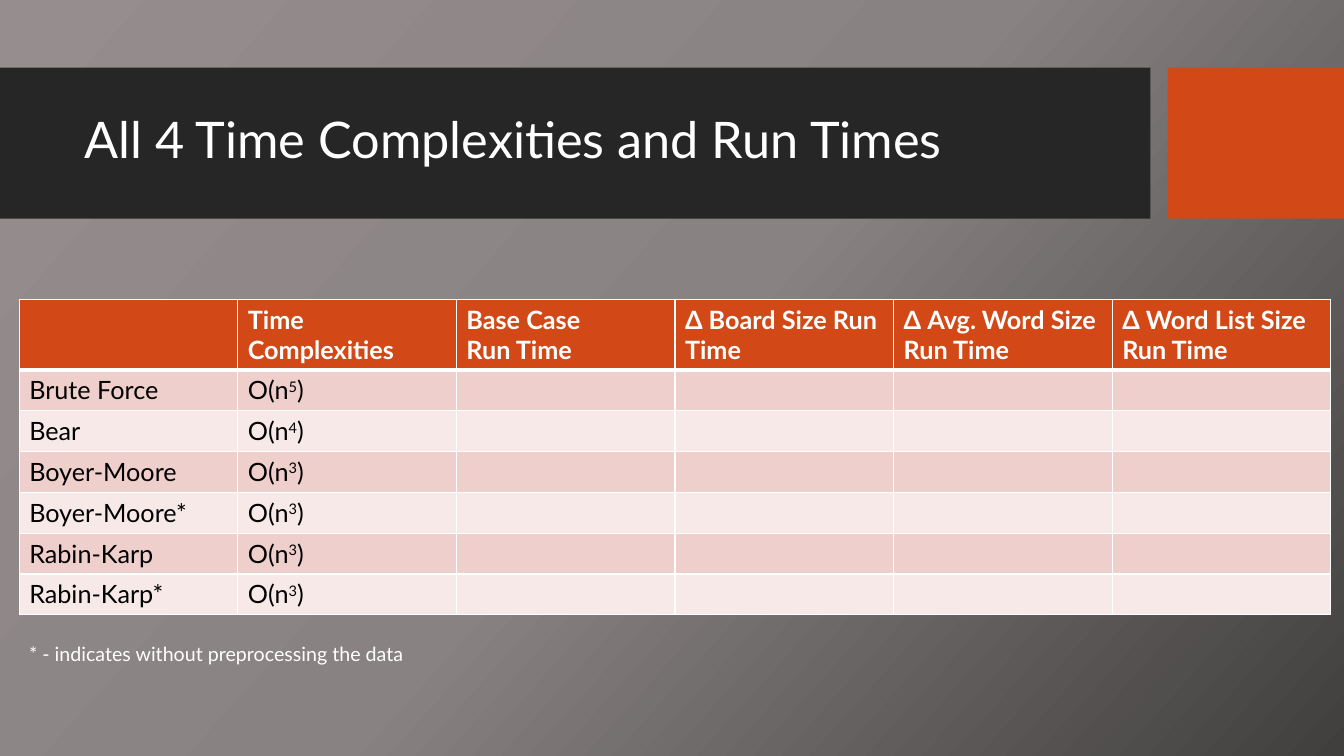
from copy import deepcopy

from lxml import etree
from pptx import Presentation
from pptx.dml.color import RGBColor
from pptx.enum.shapes import MSO_SHAPE
from pptx.enum.text import MSO_ANCHOR
from pptx.oxml.ns import qn
from pptx.util import Inches, Pt

RECT = MSO_SHAPE.RECTANGLE
TOP, MIDDLE = MSO_ANCHOR.TOP, MSO_ANCHOR.MIDDLE
FONT = "Lato"
COLORS = {
    "band": "262626",
    "accent": "D34817",
    "white": "FFFFFF",
    "black": "000000",
    "row_dark": "EFCFCC",
    "row_light": "F7E9E8",
}
BACKGROUND = [(0, "968E8E"), (0.5, "898282"), (1, "413E3E")]
SLIDE_W, SLIDE_H = 13.33, 7.5
HEADERS = [
    [],
    ["Time Complexities"],
    ["Base Case", "Run Time"],
    ["Δ Board Size Run Time"],
    ["Δ Avg. Word Size Run Time"],
    ["Δ Word List Size Run Time"],
]
ALGORITHMS = [
    ("Brute Force", "5"),
    ("Bear", "4"),
    ("Boyer-Moore", "3"),
    ("Boyer-Moore*", "3"),
    ("Rabin-Karp", "3"),
    ("Rabin-Karp*", "3"),
]


def rgb(name):
    return RGBColor.from_string(COLORS[name])


def add_run(p, text, size, color, bold=False, raised=False):
    r = p.add_run()
    r.text = text
    r.font.name = FONT
    r.font.size = Pt(size)
    r.font.bold = bold
    r.font.color.rgb = rgb(color)
    if raised:
        r.font._element.set("baseline", "30000")


def paint_background(s):
    fill = s.background.fill
    fill.gradient()
    fill.gradient_angle = 360 - 42
    stop_list = next(s.element.iter(qn("a:gsLst")))
    stop_list.append(deepcopy(stop_list[-1]))
    for stop, (position, color) in zip(fill.gradient_stops, BACKGROUND):
        stop.position = position
        stop.color.rgb = RGBColor.from_string(color)


def add_text(s, box, text, size, anchor):
    tf = s.shapes.add_textbox(*map(Inches, box)).text_frame
    tf.word_wrap = True
    tf.vertical_anchor = anchor
    p = tf.paragraphs[0]
    add_run(p, text, size, "white")
    return p


def add_title_band(s, box):
    x, y, w, h = box
    tile_w, gap = 1.75, 0.17
    band_w = w - tile_w - gap
    for left, width, color in [(x, band_w, "band"), (x + w - tile_w, tile_w, "accent")]:
        sp = s.shapes.add_shape(RECT, *map(Inches, (left, y, width, h)))
        sp.shadow.inherit = False
        sp.fill.solid()
        sp.fill.fore_color.rgb = rgb(color)
        sp.line.fill.background()
    title_box = (x + 0.74, y + 0.15, band_w - 0.9, h - 0.32)
    p = add_text(s, title_box, "All 4 Time Complexities and Run Times", 36, MIDDLE)
    p.line_spacing = 0.9


def style_cell(cell, color, top, bottom):
    cell.fill.solid()
    cell.fill.fore_color.rgb = rgb(color)
    tc_pr = cell._tc.get_or_add_tcPr()
    for i, (side, width) in enumerate([("L", 1), ("R", 1), ("T", top), ("B", bottom)]):
        ln = etree.Element(qn(f"a:ln{side}"), w=str(Pt(width)))
        fill = etree.SubElement(ln, qn("a:solidFill"))
        etree.SubElement(fill, qn("a:srgbClr"), val=COLORS["white"])
        tc_pr.insert(i, ln)


def add_complexity_table(s, box):
    header_h = 0.7
    n_rows, n_cols = len(ALGORITHMS) + 1, len(HEADERS)
    table = s.shapes.add_table(n_rows, n_cols, *map(Inches, box)).table
    for col in table.columns:
        col.width = Inches(box[2] / n_cols)
    for i, row in enumerate(table.rows):
        row.height = Inches((box[3] - header_h) / len(ALGORITHMS) if i else header_h)
        color = ("row_light", "row_dark")[i % 2] if i else "accent"
        for cell in row.cells:
            style_cell(cell, color, 3 if i == 1 else 1, 1 if i else 3)

    for j, lines in enumerate(HEADERS):
        tf = table.cell(0, j).text_frame
        for k, line in enumerate(lines):
            p = tf.add_paragraph() if k else tf.paragraphs[0]
            add_run(p, line, 18, "white", bold=True)
    for i, (name, power) in enumerate(ALGORITHMS, 1):
        add_run(table.cell(i, 0).text_frame.paragraphs[0], name, 18, "black")
        p = table.cell(i, 1).text_frame.paragraphs[0]
        for text, raised in [("O(n", False), (power, True), (")", False)]:
            add_run(p, text, 18, "black", raised=raised)


def main():
    prs = Presentation()
    prs.slide_width, prs.slide_height = Inches(SLIDE_W), Inches(SLIDE_H)
    s = prs.slides.add_slide(prs.slide_layouts[6])
    paint_background(s)
    add_title_band(s, (0, 0.67, SLIDE_W, 1.5))
    add_complexity_table(s, (0.19, 2.97, 13.01, 3.13))
    add_text(s, (0.19, 6.32, 11.67, 0.34),
             "* - indicates without preprocessing the data", 14, TOP)
    prs.save("out.pptx")


if __name__ == "__main__":
    main()
